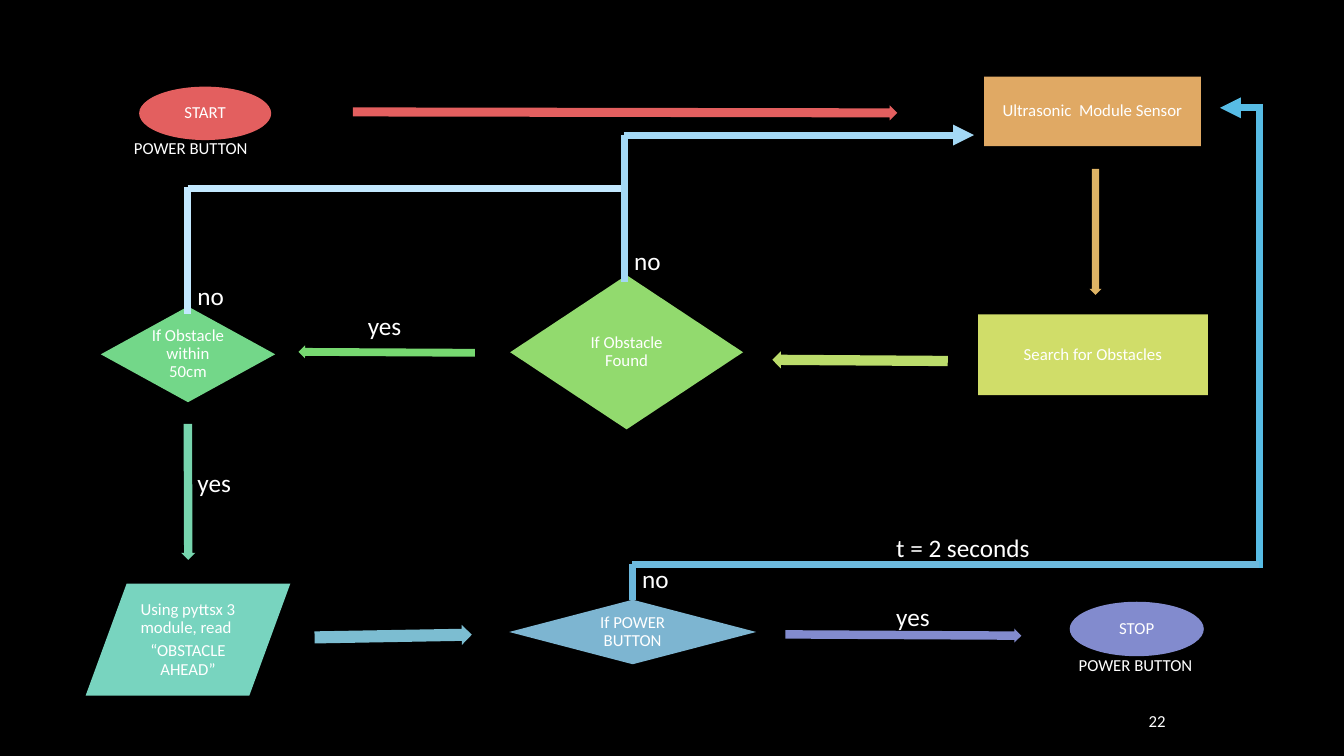
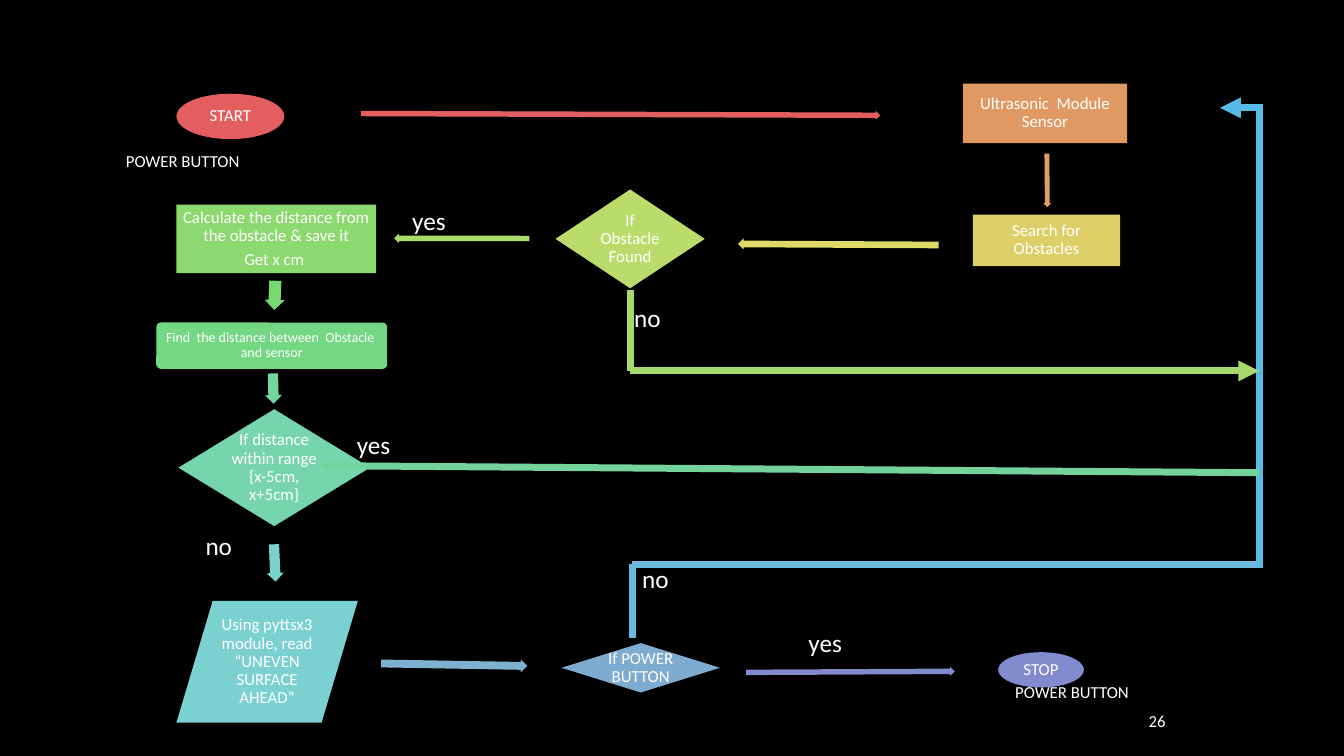
from pptx import Presentation
from pptx.dml.color import RGBColor
from pptx.enum.shapes import MSO_CONNECTOR, MSO_SHAPE
from pptx.enum.text import MSO_ANCHOR, PP_ALIGN
from pptx.oxml.ns import qn
from pptx.util import Pt
from lxml import etree

PX = 9144  # 100 px to the inch
OVAL, RECT, ROUND = MSO_SHAPE.OVAL, MSO_SHAPE.RECTANGLE, MSO_SHAPE.ROUNDED_RECTANGLE
DIAMOND, DATA, ARROW = MSO_SHAPE.DIAMOND, MSO_SHAPE.FLOWCHART_DATA, MSO_SHAPE.RIGHT_ARROW
STRAIGHT = MSO_CONNECTOR.STRAIGHT
LEFT, CENTER, RIGHT = PP_ALIGN.LEFT, PP_ALIGN.CENTER, PP_ALIGN.RIGHT
TOP, MIDDLE = MSO_ANCHOR.TOP, MSO_ANCHOR.MIDDLE


class Theme:
    font = "Calibri"
    small, body, label = 10, 12, 18
    line = 5
    back, text = "000000", "FFFFFF"
    red, violet = "E35F5F", "828BCE"
    orange, rust, copper = "E0A964", "E09963", "E0A064"
    amber, gold, yellow, lemon = "DFB465", "DECE67", "DDDA68", "D0DD69"
    lime, leaf, moss = "BBDC6B", "A9DB6D", "A7D96C"
    grass, fern, green = "92DA6E", "8CD96F", "77D871"
    mint, jade, sea, spring = "73D789", "73D783", "75D59E", "74D39D"
    foam, teal, aqua, cyan = "77D5AE", "78D4BF", "7AD3CB", "7BD1D2"
    mist, steel, slate, dusk = "7CBDD1", "7DB5D1", "7EB0D0", "7EABD0"
    loop, loop_run, loop_stub = "57BCE5", "6DBADE", "6BB8DD"
    sky, ice = "A3D8F5", "C3E9FF"


def put_text(tf, paras, size, align, anchor, inset, spacing=0.9):
    tf.word_wrap = True
    tf.vertical_anchor = anchor
    tf.margin_left = tf.margin_right = inset[0] * PX
    tf.margin_top = tf.margin_bottom = inset[1] * PX
    for i, text in enumerate(paras):
        p = tf.add_paragraph() if i else tf.paragraphs[0]
        p.alignment = align
        p.line_spacing = spacing
        if i < len(paras) - 1:
            p.space_after = Pt(4)
        r = p.add_run()
        r.text = text
        r.font.name = Theme.font
        r.font.size = Pt(size)
        r.font.color.rgb = RGBColor.from_string(Theme.text)


def add_block(s, kind, box, color):
    sp = s.shapes.add_shape(kind, *(v * PX for v in box))
    sp.shadow.inherit = False
    sp.fill.solid()
    sp.fill.fore_color.rgb = RGBColor.from_string(color)
    sp.line.fill.background()
    return sp


# Parts found on both slides: the way back from the last decision to the sensor
LOOP_LINES = [
    ((1249, 107), (1210, 107), Theme.loop, True),
    ((1249, 103), (1249, 564), Theme.loop, False),
    ((627, 560), (1249, 560), Theme.loop_run, False),
]
LOOP_LABEL = ("no", 627, 557)
POWER = "POWER BUTTON"

# nodes: kind, box, colour, size, paragraphs
# arrows: box before turning, degrees, colour
# lines: from, to, colour, arrowhead; labels: text, left, top
SLIDES = [
    {
        "number": "22",
        "nodes": [
            (OVAL, (138, 86, 131, 53), Theme.red, Theme.body, ["START"]),
            (RECT, (976, 76, 215, 69), Theme.orange, Theme.body, ["Ultrasonic  Module Sensor"]),
            (RECT, (970, 312, 228, 80), Theme.lemon, Theme.body, ["Search for Obstacles"]),
            (DIAMOND, (506, 273, 231, 153), Theme.grass, Theme.body, ["If Obstacle Found"]),
            (DIAMOND, (100, 304, 173, 95), Theme.mint, Theme.body, ["If Obstacle within 50cm"]),
            (DATA, (85, 579, 203, 111), Theme.teal, Theme.body,
             ["Using pyttsx 3 module, read ", "“OBSTACLE AHEAD”"]),
            (DIAMOND, (505, 595, 245, 64), Theme.steel, Theme.body, ["If POWER BUTTON"]),
            (OVAL, (1061, 597, 133, 54), Theme.violet, Theme.body, ["STOP"]),
        ],
        "arrows": [
            ((350, 104, 540, 15), 0.1, Theme.red),
            ((1024, 224, 125, 12), 90, Theme.amber),
            ((766, 349, 174, 17), 180.4, Theme.lime),
            ((296, 343, 175, 13), 180.3, Theme.green),
            ((119, 481, 135, 14), 89.8, Theme.foam),
            ((312, 621, 156, 20), 359, Theme.mist),
            ((779, 623, 234, 14), 0.3, Theme.violet),
        ],
        "lines": [
            ((627, 560), (627, 595), Theme.loop_stub, False),
            ((186, 187), (619, 187), Theme.ice, False),
            ((619, 134), (619, 280), Theme.sky, False),
            ((619, 134), (966, 134), Theme.sky, True),
            ((186, 186), (186, 312), Theme.ice, False),
        ],
        "labels": [("yes", 879, 595), ("yes", 186, 462), ("t = 2 seconds", 879, 527),
                   ("no", 186, 277), ("yes", 355, 306), ("no", 619, 242)],
        "captions": [(123, 134), (1060, 647)],
    },
    {
        "number": "26",
        "nodes": [
            (OVAL, (175, 93, 107, 45), Theme.red, Theme.body, ["START"]),
            (RECT, (955, 83, 163, 59), Theme.rust, Theme.body, ["Ultrasonic  Module Sensor"]),
            (RECT, (965, 213, 146, 51), Theme.gold, Theme.body, ["Search for Obstacles"]),
            (DIAMOND, (551, 188, 148, 98), Theme.lime, Theme.body, ["If Obstacle Found"]),
            (RECT, (175, 203, 198, 68), Theme.fern, Theme.body,
             ["Calculate the distance from the obstacle & save it", "Get x cm "]),
            (ROUND, (155, 320, 229, 46), Theme.jade, Theme.small,
             ["Find  the distance between  Obstacle  and sensor"]),
            (DIAMOND, (177, 406, 190, 116), Theme.foam, Theme.body,
             ["If distance within range {x-5cm, x+5cm}"]),
            (DATA, (175, 596, 180, 121), Theme.cyan, Theme.body,
             ["Using pyttsx3 module, read “UNEVEN SURFACE AHEAD”"]),
            (DIAMOND, (557, 638, 157, 49), Theme.dusk, Theme.body, ["If POWER BUTTON"]),
            (OVAL, (990, 647, 85, 35), Theme.violet, Theme.body, ["STOP"]),
        ],
        "arrows": [
            ((358, 109, 515, 9), 0.2, Theme.red),
            ((1012, 175, 53, 8), 89.5, Theme.copper),
            ((732, 237, 199, 11), 180.3, Theme.yellow),
            ((391, 232, 134, 9), 180.1, Theme.leaf),
            ((258, 283, 29, 20), 92, Theme.green),
            ((256, 377, 30, 17), 88.6, Theme.sea),
            ((254, 550, 37, 17), 87.5, Theme.aqua),
            ((378, 653, 145, 13), 1, Theme.slate),
            ((740, 662, 207, 9), 359.7, Theme.violet),
        ],
        "lines": [
            ((627, 560), (627, 633), Theme.loop_stub, False),
            ((625, 288), (625, 368), Theme.moss, False),
            ((625, 368), (1249, 368), Theme.moss, True),
            ((320, 462), (1249, 469), Theme.spring, False),
        ],
        "labels": [("yes", 792, 621), ("no", 194, 525), ("yes", 344, 424),
                   ("yes", 399, 202), ("no", 619, 298)],
        "captions": [(115, 147), (997, 674)],
    },
]

prs = Presentation()
prs.slide_width, prs.slide_height = 1333 * PX, 750 * PX
fill = prs.slide_master.background.fill
fill.solid()
fill.fore_color.rgb = RGBColor.from_string(Theme.back)

for page in SLIDES:
    s = prs.slides.add_slide(prs.slide_layouts[6])

    # Flowchart steps
    for kind, box, color, size, paras in page["nodes"]:
        sp = add_block(s, kind, box, color)
        if kind == ROUND:
            sp.adjustments[0] = 0.1
        put_text(sp.text_frame, paras, size, CENTER, MIDDLE, (5, 5))

    # Block arrows between steps
    for box, degrees, color in page["arrows"]:
        sp = add_block(s, ARROW, box, color)
        sp.adjustments[0], sp.adjustments[1] = 0.6, 0.5
        sp.rotation = degrees

    # Branch lines
    for start, end, color, head in LOOP_LINES + page["lines"]:
        ln = s.shapes.add_connector(STRAIGHT, *(v * PX for v in start + end))
        ln.line.color.rgb = RGBColor.from_string(color)
        ln.line.width = Pt(Theme.line)
        if head:
            etree.SubElement(ln.line._get_or_add_ln(), qn("a:tailEnd"), type="triangle")
        etree.SubElement(ln._element.spPr, qn("a:effectLst"))

    # Branch labels, button captions and slide number
    texts = [(t, (x, y, 160 if len(t) > 3 else 79, 37), Theme.label, LEFT, TOP, 0.9)
             for t, x, y in page["labels"] + [LOOP_LABEL]]
    texts += [(POWER, (x, y, 142, 28), Theme.body, LEFT, TOP, 0.9) for x, y in page["captions"]]
    texts.append((page["number"], (1041, 700, 125, 30), Theme.body, RIGHT, MIDDLE, 1.0))
    for text, box, size, align, anchor, spacing in texts:
        tf = s.shapes.add_textbox(*(v * PX for v in box)).text_frame
        put_text(tf, [text], size, align, anchor, (10, 5), spacing)

prs.save("out.pptx")
